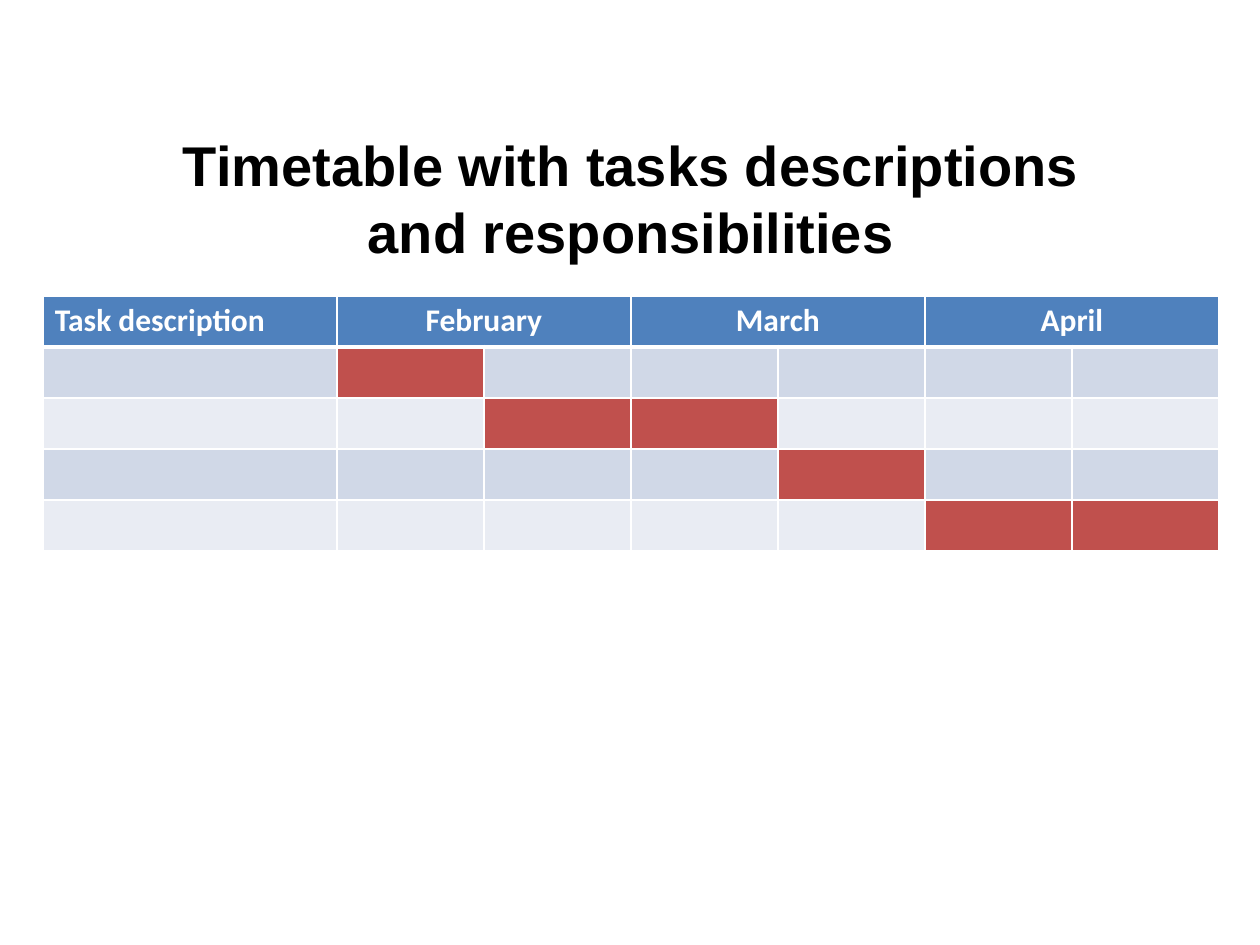
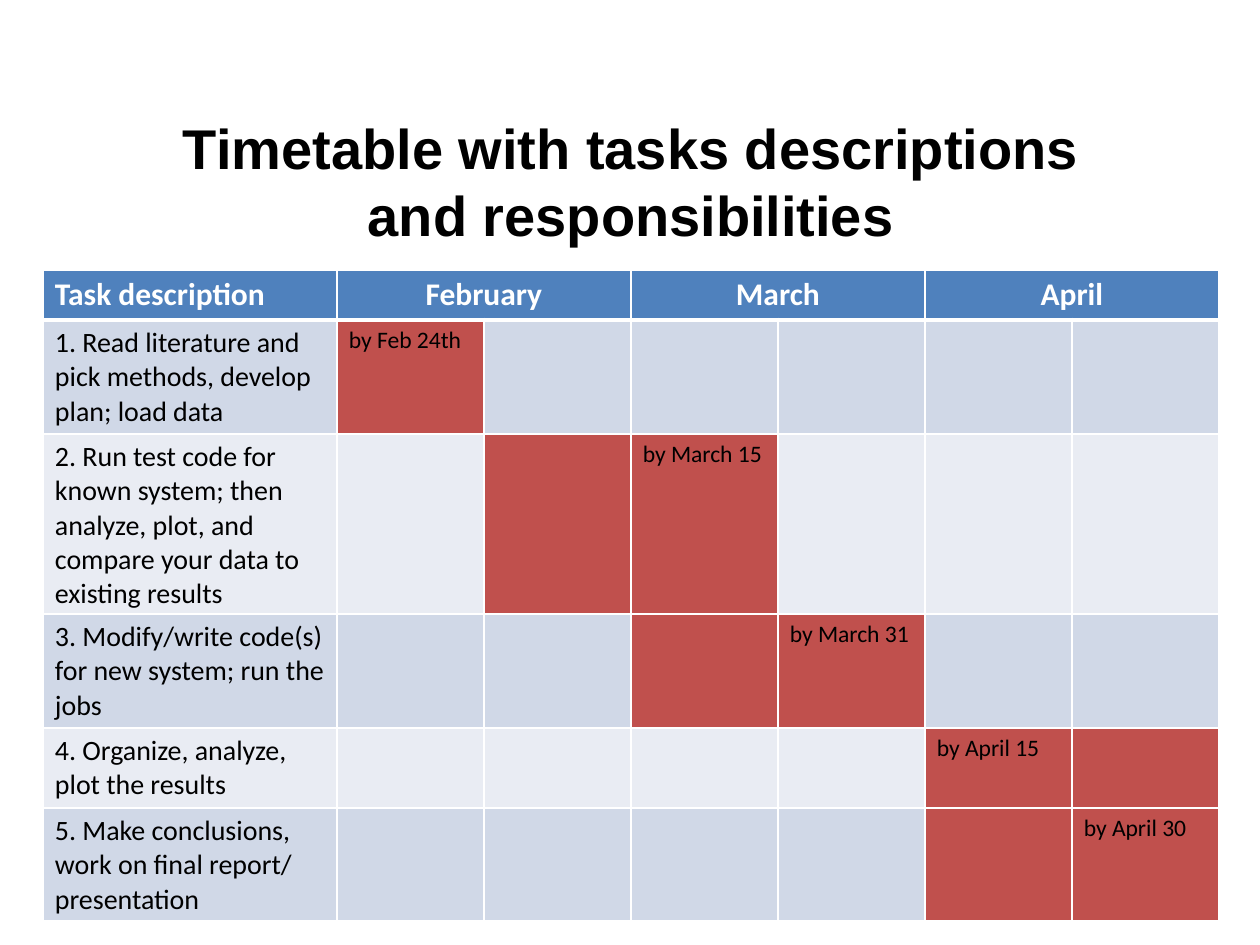
from lxml import etree
from pptx import Presentation
from pptx.dml.color import RGBColor
from pptx.enum.text import MSO_ANCHOR, MSO_AUTO_SIZE, PP_ALIGN
from pptx.oxml.ns import qn
from pptx.util import Emu, Pt

CENTER, LEFT = PP_ALIGN.CENTER, PP_ALIGN.LEFT
TOP = MSO_ANCHOR.TOP
NO_AUTOFIT = MSO_AUTO_SIZE.NONE

SCALE = 914400 / 126  # EMU per px
TITLE_ONLY = 5
COLORS = {
    "header": "4F81BD",
    "band_dark": "D0D8E7",
    "band_light": "E9ECF3",
    "busy": "C0504D",
    "white": "FFFFFF",
    "black": "000000",
}
TITLE_LINES = ["Timetable with tasks descriptions ", "and responsibilities"]
MONTHS = ["February", "March", "April"]
TITLE_FONT = {"name": "Arial", "size": Pt(32), "bold": True}
HEADER_FONT = {"name": "Calibri", "size": Pt(18), "bold": True}
TASK_FONT = {"name": "Calibri", "size": Pt(16), "bold": False}
DEADLINE_FONT = {"name": "Calibri", "size": Pt(13.5), "bold": False}
TABLE_LEFT, TASK_WIDTH, HALF_MONTH = 43, 294, 147
CELL_MARGINS = {"margin_left": 12, "margin_right": 12, "margin_top": 6, "margin_bottom": 3}
THIN, THICK = Pt(0.96), Pt(3)

# Each task: description, row height, {half-month column: deadline}
TIMETABLES = [
    {"title_top": 124, "table_top": 296, "header_height": 51, "tasks": [
        ("", 51, {1: ""}),
        ("", 51, {2: "", 3: ""}),
        ("", 51, {4: ""}),
        ("", 51, {5: "", 6: ""}),
    ]},
    {"title_top": 107, "table_top": 270, "header_height": 50, "tasks": [
        ("1. Read literature and pick methods, develop plan; load data", 114,
         {1: "by Feb 24th"}),
        ("2. Run test code for known system; then analyze, plot, and compare "
         "your data to existing results", 180, {2: "", 3: "by March 15"}),
        ("3. Modify/write code(s) for new system; run the jobs", 114,
         {3: "", 4: "by March 31"}),
        ("4. Organize, analyze, plot the results", 80, {5: "by April 15", 6: ""}),
        ("5. Make conclusions, work on final report/ presentation", 113,
         {5: "", 6: "by April 30"}),
    ]},
]


def write(paragraph, text, font_values, color, alignment):
    paragraph.alignment = alignment
    if text:
        run = paragraph.add_run()
        run.text = text
        for name, value in font_values.items():
            setattr(run.font, name, value)
        run.font.color.rgb = RGBColor.from_string(COLORS[color])


def format_cell(cell, fill, top_width, bottom_width):
    for name, value in CELL_MARGINS.items():
        setattr(cell, name, Emu(round(value * SCALE)))
    cell.vertical_anchor = TOP
    properties = cell._tc.get_or_add_tcPr()
    widths = {"lnL": THIN, "lnR": THIN, "lnT": top_width, "lnB": bottom_width}
    for side, width in widths.items():
        line = etree.SubElement(properties, qn("a:" + side), w=str(int(width)))
        solid = etree.SubElement(line, qn("a:solidFill"))
        etree.SubElement(solid, qn("a:srgbClr"), val=COLORS["white"])
    cell.fill.solid()
    cell.fill.fore_color.rgb = RGBColor.from_string(COLORS[fill])


presentation = Presentation()
presentation.slide_width = Emu(round(1260 * SCALE))
presentation.slide_height = Emu(round(945 * SCALE))

for timetable in TIMETABLES:
    slide = presentation.slides.add_slide(presentation.slide_layouts[TITLE_ONLY])

    # Title
    title = slide.shapes.title
    box = {"left": 163, "top": timetable["title_top"], "width": 936, "height": 147}
    for name, value in box.items():
        setattr(title, name, Emu(round(value * SCALE)))
    frame = title.text_frame
    frame.word_wrap = False
    frame.auto_size = NO_AUTOFIT
    frame.vertical_anchor = TOP
    for index, text in enumerate(TITLE_LINES):
        paragraph = frame.add_paragraph() if index else frame.paragraphs[0]
        write(paragraph, text, TITLE_FONT, "black", CENTER)

    # Table grid
    tasks = timetable["tasks"]
    column_widths = [TASK_WIDTH] + [HALF_MONTH] * 2 * len(MONTHS)
    row_heights = [timetable["header_height"]] + [height for _, height, _ in tasks]
    bounds = [TABLE_LEFT, timetable["table_top"], sum(column_widths), sum(row_heights)]
    table = slide.shapes.add_table(
        len(row_heights), len(column_widths),
        *[Emu(round(value * SCALE)) for value in bounds]).table
    for column, width in zip(table.columns, column_widths):
        column.width = Emu(round(width * SCALE))
    for row, height in zip(table.rows, row_heights):
        row.height = Emu(round(height * SCALE))

    # Header row, each month spanning two columns
    for cell in table.rows[0].cells:
        format_cell(cell, "header", THIN, THICK)
    write(table.cell(0, 0).text_frame.paragraphs[0], "Task description",
          HEADER_FONT, "white", LEFT)
    for index, month in enumerate(MONTHS):
        first = 1 + 2 * index
        table.cell(0, first).merge(table.cell(0, first + 1))
        write(table.cell(0, first).text_frame.paragraphs[0], month,
              HEADER_FONT, "white", CENTER)

    # Task rows
    for row, (description, _, deadlines) in enumerate(tasks, start=1):
        band = "band_dark" if row % 2 else "band_light"
        for column, cell in enumerate(table.rows[row].cells):
            fill = "busy" if column in deadlines else band
            format_cell(cell, fill, THICK if row == 1 else THIN, THIN)
            text = deadlines.get(column, "") if column else description
            font_values = DEADLINE_FONT if column else TASK_FONT
            write(cell.text_frame.paragraphs[0], text, font_values, "black", LEFT)

presentation.save("out.pptx")
